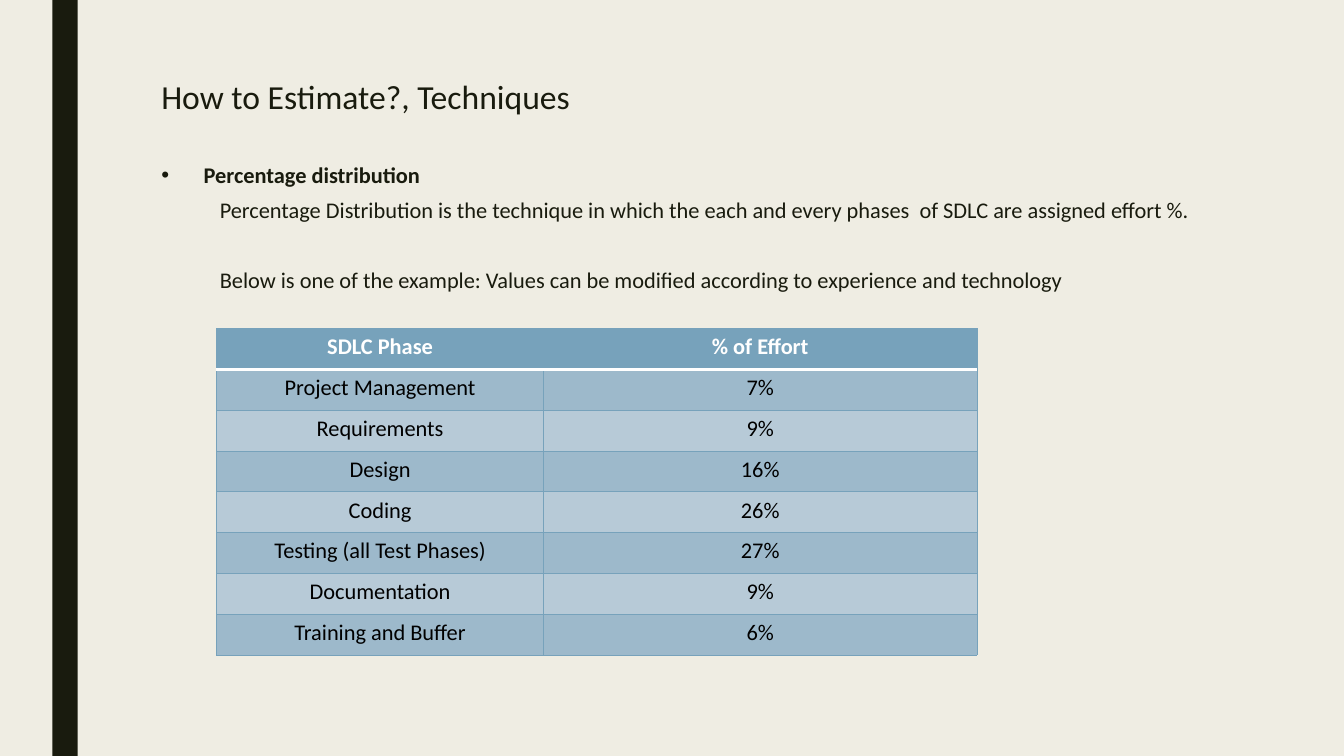
from pptx import Presentation
from pptx.util import Inches, Pt
from pptx.dml.color import RGBColor
from pptx.enum import shapes, text
from pptx.oxml import parse_xml
from pptx.oxml.ns import nsdecls

# Content
TITLE = "How to Estimate?, Techniques"
HEAD = "Percentage distribution"
NOTES = [
    "Percentage Distribution is the technique in which the each and every phases  of SDLC are assigned effort %.",
    "Below is one of the example: Values can be modified according to experience and technology",
]
ROWS = [
    ("SDLC Phase", "% of Effort"),
    ("Project Management", "7%"),
    ("Requirements", "9%"),
    ("Design", "16%"),
    ("Coding", "26%"),
    ("Testing (all Test Phases)", "27%"),
    ("Documentation", "9%"),
    ("Training and Buffer", "6%"),
]

# Format
PAPER = RGBColor(0xEF, 0xED, 0xE3)
INK = RGBColor(0x19, 0x1B, 0x0E)
BLUE = RGBColor(0x77, 0xA2, 0xBB)
MID = RGBColor(0x9D, 0xB9, 0xCB)
PALE = RGBColor(0xB7, 0xCA, 0xD7)
WHITE = RGBColor(0xFF, 0xFF, 0xFF)
BLACK = RGBColor(0, 0, 0)
COLS = (3.24, 4.3)
ROW_H = 0.405


def put(obj, **vals):
    for key, val in vals.items():
        setattr(obj, key, val)


def place(shape, x, y, w, h):
    put(shape, left=Inches(x), top=Inches(y), width=Inches(w), height=Inches(h))


def write(para, line, size, color, bold=False, **form):
    put(para, **form)
    run = para.add_run()
    run.text = line
    put(run.font, name="Calibri", size=Pt(size), bold=bold)
    run.font.color.rgb = color


def indent(para, left, first, mark):
    props = para._p.get_or_add_pPr()
    props.set("marL", str(Inches(left)))
    props.set("indent", str(Inches(first)))
    tag = f'buChar {nsdecls("a")} char="{mark}"' if mark else f'buNone {nsdecls("a")}'
    props.append(parse_xml(f"<a:{tag}/>"))


def edge(cell, sides):
    props = cell._tc.get_or_add_tcPr()
    for spot, (side, (color, width)) in enumerate(sides.items()):
        props.insert(spot, parse_xml(
            f'<a:ln{side} {nsdecls("a")} w="{Pt(width)}"><a:solidFill>'
            f'<a:srgbClr val="{color}"/></a:solidFill></a:ln{side}>'))


# Slide, background and side bar
deck = Presentation()
put(deck, slide_width=Inches(13.33), slide_height=Inches(7.5))
slide = deck.slides.add_slide(deck.slide_layouts[1])
slide.background.fill.solid()
slide.background.fill.fore_color.rgb = PAPER
bar = slide.shapes.add_shape(shapes.MSO_SHAPE.RECTANGLE, Inches(0.52), 0,
                             Inches(0.25), deck.slide_height)
bar.shadow.inherit = False
bar.fill.solid()
bar.fill.fore_color.rgb = INK
bar.line.fill.background()

# Title and body
title, body = slide.shapes.title, slide.placeholders[1]
place(title, 1.5, 0.75, 10.5, 0.82)
place(body, 1.5, 1.57, 10.5, 3.92)
for box in (title, body):
    put(box.text_frame, vertical_anchor=text.MSO_ANCHOR.TOP, word_wrap=True,
        auto_size=text.MSO_AUTO_SIZE.NONE)
write(title.text_frame.paragraphs[0], TITLE, 24, INK,
      alignment=text.PP_ALIGN.LEFT, line_spacing=0.89)

frame = body.text_frame
first = frame.paragraphs[0]
write(first, HEAD, 16, INK, True, line_spacing=0.94,
      space_before=Pt(10), space_after=Pt(2))
indent(first, 0.42, -0.42, "•")
for line, gap in zip(NOTES, (5, 30)):
    para = frame.add_paragraph()
    write(para, line, 16, INK, level=1, line_spacing=0.94,
          space_before=Pt(gap), space_after=Pt(2))
    indent(para, 0.58, 0, None)

# Effort table
grid = slide.shapes.add_table(
    len(ROWS), len(COLS), Inches(2.15), Inches(3.26),
    Inches(sum(COLS)), Inches(ROW_H * len(ROWS))).table
for col, width in zip(grid.columns, COLS):
    col.width = Inches(width)
thin, thick = (BLUE, 0.5), (WHITE, 2.75)
for r, row in enumerate(ROWS):
    grid.rows[r].height = Inches(ROW_H)
    for c, value in enumerate(row):
        cell = grid.cell(r, c)
        cell.fill.solid()
        cell.fill.fore_color.rgb = BLUE if r == 0 else MID if r % 2 else PALE
        write(cell.text_frame.paragraphs[0], value, 16, BLACK if r else WHITE,
              r == 0, alignment=text.PP_ALIGN.CENTER)
        edge(cell, {"L": thin, "R": thin, "T": thick if r == 1 else thin,
                    "B": thin if r else thick})

deck.save("out.pptx")
